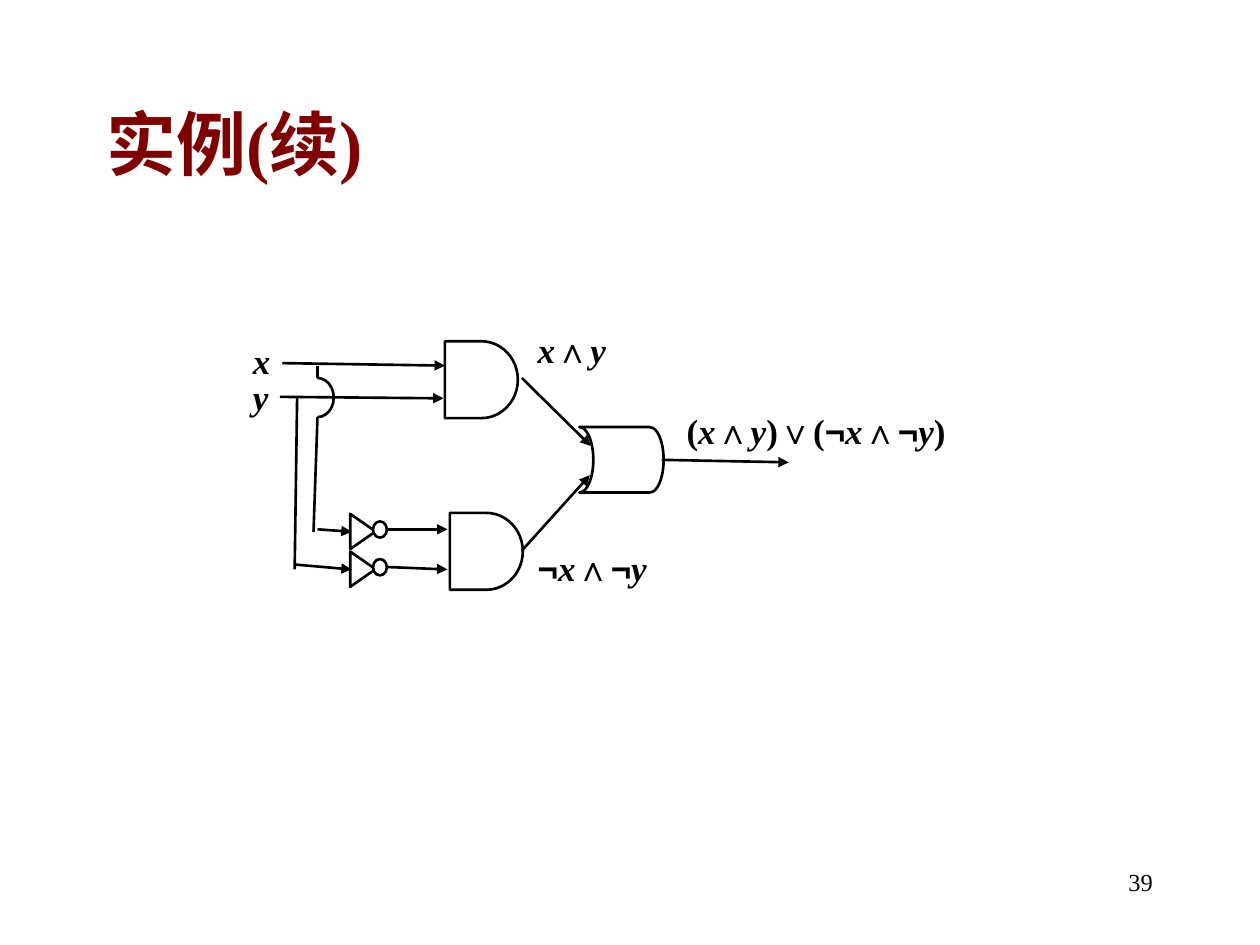
from dataclasses import dataclass
from itertools import groupby

from lxml.etree import SubElement
from pptx import Presentation
from pptx.dml.color import RGBColor
from pptx.enum.shapes import MSO_CONNECTOR, MSO_SHAPE
from pptx.enum.text import MSO_ANCHOR, MSO_AUTO_SIZE, PP_ALIGN
from pptx.oxml.ns import qn
from pptx.util import Cm, Pt

BLACK = RGBColor(0, 0, 0)
WHITE = RGBColor(255, 255, 255)
MAROON = RGBColor(128, 0, 0)
SERIF = "Times New Roman"
SANS = "Arial"
STROKE = Pt(1.5)


# All positions and sizes are in centimetres.
@dataclass
class Part:
    kind: MSO_SHAPE
    left: float
    top: float
    width: float
    height: float
    rotation: float = 0
    mirrored: bool = False
    filled: bool = True


@dataclass
class Wire:
    start: tuple[float, float]
    end: tuple[float, float]
    arrow: bool = True


@dataclass
class Formula:
    text: str
    left: float
    top: float
    width: float
    height: float


def inverter(top: float) -> list[Part]:
    return [
        Part(MSO_SHAPE.ISOSCELES_TRIANGLE, 6.96, top, 0.71, 0.51, rotation=90),
        Part(MSO_SHAPE.OVAL, 7.52, top + 0.05, 0.28, 0.33),
    ]


def and_gate(left: float, top: float) -> Part:
    return Part(MSO_SHAPE.FLOWCHART_DELAY, left, top, 1.47, 1.55)


PARTS = [
    Part(MSO_SHAPE.FLOWCHART_STORED_DATA, 11.68, 8.61, 1.7, 1.32, mirrored=True),
    and_gate(8.97, 6.88),
    and_gate(9.07, 10.34),
    *inverter(10.46),
    *inverter(11.22),
    Part(MSO_SHAPE.ARC, 6.07, 7.62, 0.66, 0.79, filled=False),
]

WIRES = [
    # Inputs into the upper AND gate
    Wire((5.69, 7.32), (8.97, 7.37)),
    Wire((5.64, 8.0), (8.94, 8.03)),
    # Branches down to the inverters
    Wire((6.4, 7.62), (6.4, 7.37), arrow=False),
    Wire((6.4, 8.41), (6.32, 10.72), arrow=False),
    Wire((5.99, 8.0), (5.94, 11.48), arrow=False),
    Wire((6.4, 10.67), (7.09, 10.72)),
    Wire((5.94, 11.38), (7.09, 11.48)),
    # Inverters into the lower AND gate
    Wire((7.8, 10.67), (9.02, 10.67)),
    Wire((7.8, 11.43), (9.02, 11.48)),
    # AND gates into the OR gate, and the output
    Wire((10.52, 7.62), (11.91, 8.99)),
    Wire((10.52, 11.1), (11.89, 9.58)),
    Wire((13.34, 9.27), (15.9, 9.32)),
]

FORMULAS = [
    Formula("x", 4.85, 6.71, 0.99, 1.02),
    Formula("y", 4.85, 7.44, 0.99, 1.27),
    Formula("x∧y", 10.59, 6.5, 2.01, 1.22),
    Formula("¬x∧¬y", 10.59, 10.9, 3.18, 1.4),
    Formula("(x∧y)∨(¬x∧¬y)", 13.59, 8.13, 6.27, 1.4),
]


def draw_part(page, part: Part) -> None:
    shape = page.shapes.add_shape(
        part.kind, Cm(part.left), Cm(part.top), Cm(part.width), Cm(part.height))
    shape.shadow.inherit = False
    shape.rotation = part.rotation
    shape.line.color.rgb = BLACK
    shape.line.width = STROKE
    if part.filled:
        shape.fill.solid()
        shape.fill.fore_color.rgb = WHITE
    else:
        shape.fill.background()
    if part.kind == MSO_SHAPE.ARC:
        # Right half of the ellipse: 270 to 90 degrees
        shape.adjustments[0] = 162
        shape.adjustments[1] = 54
    if part.mirrored:
        shape._element.spPr.find(qn("a:xfrm")).set("flipH", "1")


def draw_wire(page, wire: Wire) -> None:
    points = [Cm(value) for value in wire.start + wire.end]
    line = page.shapes.add_connector(MSO_CONNECTOR.STRAIGHT, *points)
    line.line.color.rgb = BLACK
    line.line.width = STROKE
    if wire.arrow:
        SubElement(line.line._get_or_add_ln(), qn("a:tailEnd"), type="triangle")
    SubElement(line._element.spPr, qn("a:effectLst"))


def format_span(span, size: float, color: RGBColor, bold: bool = True,
                italic: bool = False, name: str = SERIF) -> None:
    span.font.size = Pt(size)
    span.font.color.rgb = color
    span.font.bold = bold
    span.font.italic = italic
    span.font.name = name


def symbol_style(symbol: str) -> tuple[bool, str]:
    return symbol in "xy", SANS if symbol == "¬" else SERIF


def add_box(page, left: float, top: float, width: float, height: float):
    box = page.shapes.add_textbox(Cm(left), Cm(top), Cm(width), Cm(height))
    box.text_frame.word_wrap = True
    return box.text_frame.paragraphs[0]


def draw_formula(page, formula: Formula) -> None:
    para = add_box(page, formula.left, formula.top, formula.width, formula.height)
    para.alignment = PP_ALIGN.JUSTIFY
    for (italic, name), symbols in groupby(formula.text, symbol_style):
        span = para.add_run()
        span.text = "".join(symbols)
        format_span(span, 20, BLACK, italic=italic, name=name)


def draw_title(page, text: str) -> None:
    title = page.shapes.title
    title.left, title.top, title.width, title.height = Cm(1.9), Cm(1.7), Cm(21.6), Cm(2.33)
    frame = title.text_frame
    frame.text = text
    frame.auto_size = MSO_AUTO_SIZE.NONE
    frame.vertical_anchor = MSO_ANCHOR.MIDDLE
    frame.paragraphs[0].alignment = PP_ALIGN.LEFT
    format_span(frame.paragraphs[0].runs[0], 40, MAROON)


def draw_page_number(page, text: str) -> None:
    para = add_box(page, 18.21, 17.35, 5.28, 1.27)
    para.text = text
    para.alignment = PP_ALIGN.RIGHT
    format_span(para.runs[0], 14, BLACK, bold=False)


def main() -> None:
    deck = Presentation()
    deck.slide_width, deck.slide_height = Cm(25.4), Cm(19.05)
    page = deck.slides.add_slide(deck.slide_layouts[5])

    draw_title(page, "实例(续)")
    draw_page_number(page, "39")
    # Logic circuit
    for formula in FORMULAS:
        draw_formula(page, formula)
    for part in PARTS:
        draw_part(page, part)
    for wire in WIRES:
        draw_wire(page, wire)

    deck.save("out.pptx")


if __name__ == "__main__":
    main()
